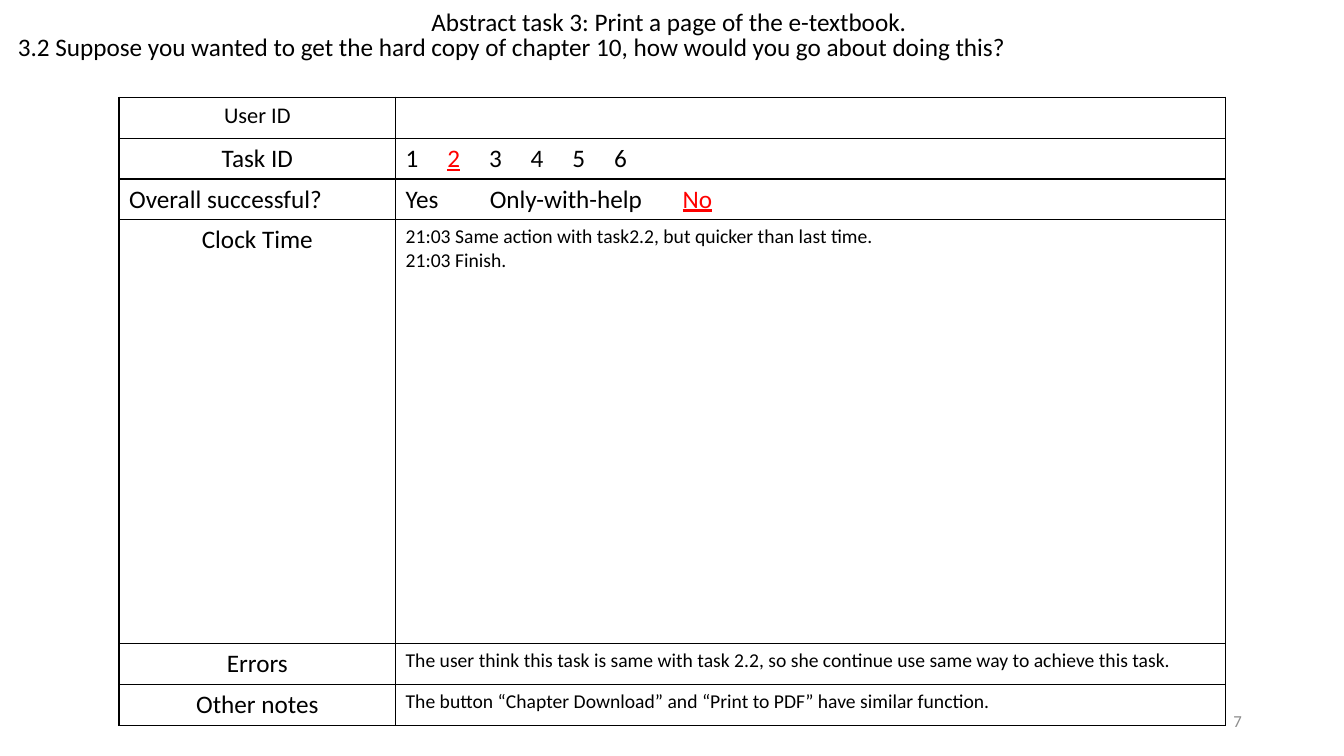
from lxml import etree
from pptx import Presentation
from pptx.dml.color import RGBColor
from pptx.enum import text
from pptx.oxml import ns
from pptx.util import Cm, Pt

BLACK = RGBColor(0, 0, 0)
RED = RGBColor(255, 0, 0)
GREY = RGBColor(0x8C, 0x8C, 0x8C)
LEFT, CENTER, RIGHT = (text.PP_ALIGN.LEFT, text.PP_ALIGN.CENTER,
                       text.PP_ALIGN.RIGHT)

# Content: text, left, top, width, height (cm), size, alignment, colour, anchor
TOP, MIDDLE = text.MSO_ANCHOR.TOP, text.MSO_ANCHOR.MIDDLE
BOXES = [
    ("3.2 Suppose you wanted to get the hard copy of chapter 10, "
     "how would you go about doing this?",
     0.2, 0.66, 33.6, 1.02, 18, LEFT, BLACK, TOP),
    ("Abstract task 3: Print a page of the e-textbook.",
     9.33, 0.03, 15.06, 1.02, 18, CENTER, BLACK, TOP),
    ("7", 23.93, 17.65, 7.62, 1.02, 12, RIGHT, GREY, MIDDLE),
]

# Choice rows: options, the chosen one, tab stops (cm)
TASK_IDS = (["1", "2", "3", "4", "5", "6"], "2",
            [1.05 * i for i in range(1, 6)])
OUTCOMES = (["Yes", "Only-with-help", "No"], "No", [2.12, 6.98])

# Table rows: label, label size, label alignment, answer (lines or choice)
ROWS = [
    ("User ID", 16, CENTER, []),
    ("Task ID", 18, CENTER, TASK_IDS),
    ("Overall successful?", 18, LEFT, OUTCOMES),
    ("Clock Time", 18, CENTER,
     ["21:03 Same action with task2.2, but quicker than last time.",
      "21:03 Finish."]),
    ("Errors", 18, CENTER,
     ["The user think this task is same with task 2.2, "
      "so she continue use same way to achieve this task."]),
    ("Other notes", 18, CENTER,
     ["The button “Chapter Download” and “Print to PDF” "
      "have similar function."]),
]
COL_WIDTHS = [6.97, 20.91]
ROW_HEIGHT, CLOCK_HEIGHT = 1.03, 10.68
TABLE_LEFT, TABLE_TOP = 3, 2.45


def style(r, size, color=BLACK):
    r.font.name = "Calibri"
    r.font.size = Pt(size)
    r.font.color.rgb = color


def write(tf, lines, size, align=LEFT, color=BLACK):
    tf.text = "\n".join(lines)
    for p in tf.paragraphs:
        p.alignment = align
        for r in p.runs:
            style(r, size, color)


def write_choice(tf, options, chosen, stops):
    p = tf.paragraphs[0]
    tabs = etree.SubElement(p._p.get_or_add_pPr(), ns.qn("a:tabLst"))
    for stop in stops:
        etree.SubElement(tabs, ns.qn("a:tab"), pos=str(int(Cm(stop))), algn="l")
    for i, option in enumerate(options):
        if i:
            r = p.add_run()
            r.text = "\t"
            style(r, 18)
        r = p.add_run()
        r.text = option
        style(r, 18, RED if option == chosen else BLACK)
        r.font.underline = option == chosen


def outline(cell):
    cell.fill.background()
    tc_pr = cell._tc.get_or_add_tcPr()
    for i, side in enumerate(("a:lnL", "a:lnR", "a:lnT", "a:lnB")):
        ln = etree.Element(ns.qn(side), w=str(int(Pt(1))))
        fill = etree.SubElement(ln, ns.qn("a:solidFill"))
        etree.SubElement(fill, ns.qn("a:srgbClr"), val=str(BLACK))
        tc_pr.insert(i, ln)


prs = Presentation()
prs.slide_width, prs.slide_height = Cm(33.87), Cm(19.05)
s = prs.slides.add_slide(prs.slide_layouts[6])

# Observation table
heights = [CLOCK_HEIGHT if row[0] == "Clock Time" else ROW_HEIGHT
           for row in ROWS]
table = s.shapes.add_table(len(ROWS), 2, Cm(TABLE_LEFT), Cm(TABLE_TOP),
                           Cm(sum(COL_WIDTHS)), Cm(sum(heights))).table
table.first_row = table.horz_banding = False
for col, width in zip(table.columns, COL_WIDTHS):
    col.width = Cm(width)
for row, height, (label, size, align, answer) in zip(table.rows, heights, ROWS):
    row.height = Cm(height)
    label_cell, answer_cell = row.cells
    write(label_cell.text_frame, [label], size, align)
    if isinstance(answer, tuple):
        write_choice(answer_cell.text_frame, *answer)
    else:
        write(answer_cell.text_frame, answer, 14)
    for cell in row.cells:
        outline(cell)

# Headings and page number
for line, x, y, w, h, size, align, color, anchor in BOXES:
    tf = s.shapes.add_textbox(Cm(x), Cm(y), Cm(w), Cm(h)).text_frame
    tf.word_wrap = True
    tf.vertical_anchor = anchor
    write(tf, [line], size, align, color)

prs.save("out.pptx")
